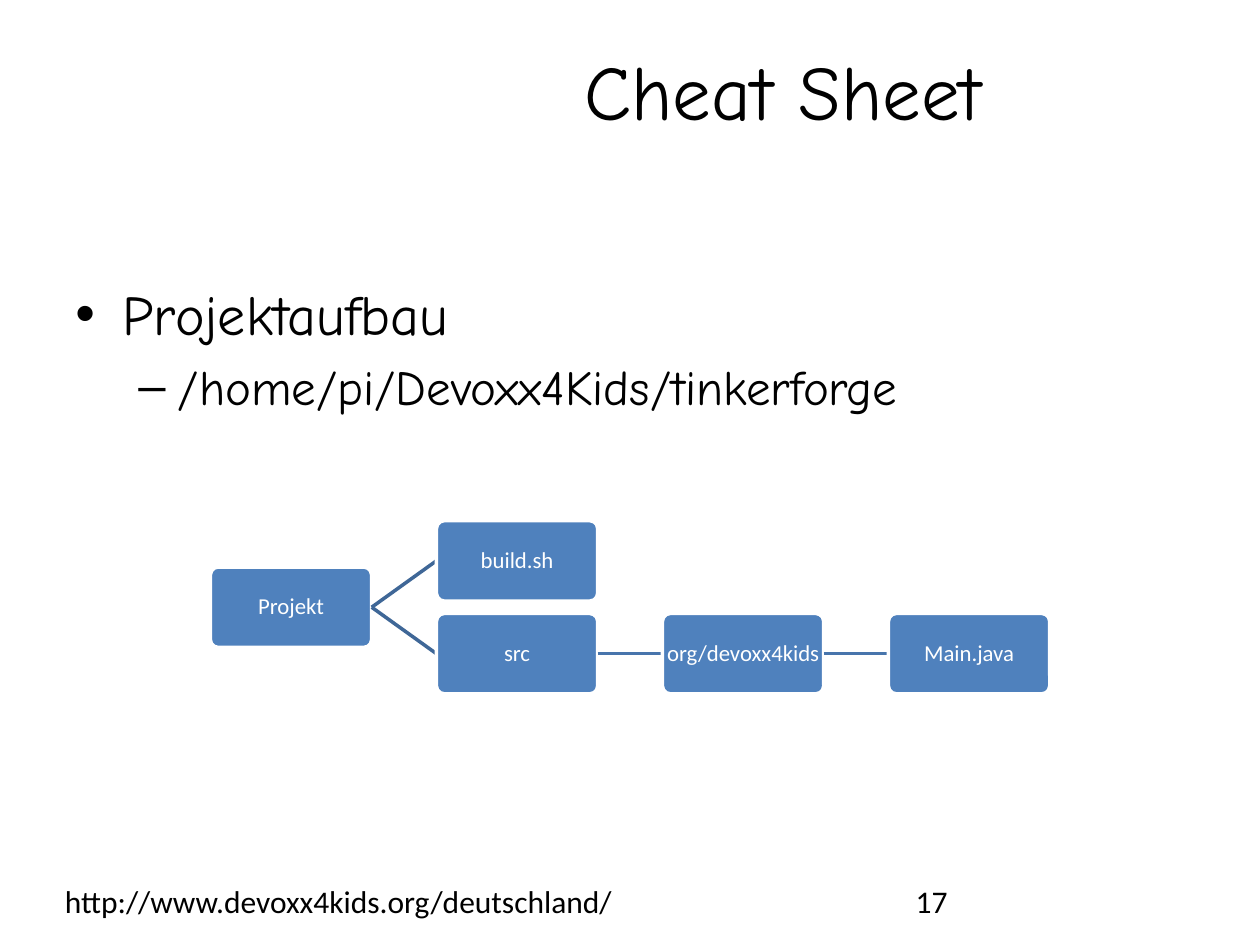
from typing import NamedTuple, Optional

from lxml import etree
from pptx import Presentation
from pptx.dml.color import RGBColor
from pptx.enum.shapes import MSO_CONNECTOR, MSO_SHAPE
from pptx.enum.text import MSO_ANCHOR, PP_ALIGN
from pptx.oxml.ns import qn
from pptx.util import Pt

STRAIGHT = MSO_CONNECTOR.STRAIGHT
ROUNDED = MSO_SHAPE.ROUNDED_RECTANGLE
MIDDLE = MSO_ANCHOR.MIDDLE
LEFT, CENTER = PP_ALIGN.LEFT, PP_ALIGN.CENTER

COLORS = {
    "text": "000000",
    "white": "FFFFFF",
    "node": "4F81BD",
    "branch": "3F6797",
    "chain": "4875AC",
}
HEADING_FONT, BASE_FONT = "Comic Neue", "Calibri"
TREE_LEFT, TREE_TOP = 120.2, 297.5
COLUMN_STEP, ROW_STEP = 129.15, 53
NODE_WIDTH, NODE_HEIGHT = 92.2, 46


class TextLine(NamedTuple):
    text: str
    left: float
    top: float
    width: float
    height: float
    size: float
    font: str
    align: PP_ALIGN


class Bullet(NamedTuple):
    text: str
    symbol: str
    size: float
    level: int
    margin: float
    hanging: float
    space_before: float


class Node(NamedTuple):
    label: str
    column: int
    row: float
    parent: Optional[int] = None

    @property
    def left(self) -> float:
        return TREE_LEFT + self.column * COLUMN_STEP

    @property
    def top(self) -> float:
        return TREE_TOP + self.row * ROW_STEP

    @property
    def middle(self) -> float:
        return self.top + NODE_HEIGHT / 2


TEXT_LINES = [
    TextLine("http://www.devoxx4kids.org/deutschland/", 16.5, 500.4, 354, 29, 18, BASE_FONT, CENTER),
    TextLine("Cheat Sheet", 211, 21.6, 473, 90, 44, HEADING_FONT, CENTER),
    TextLine("17", 516.2, 500.4, 168, 29, 18, BASE_FONT, LEFT),
]
BULLETS = [
    Bullet("Projektaufbau", "•", 32, 0, 27, 27, 0),
    Bullet("/home/pi/Devoxx4Kids/tinkerforge", "–", 28, 1, 58.5, 22.5, 5.6),
]
NODES = [
    Node("Projekt", 0, 0.5),
    Node("build.sh", 1, 0, 0),
    Node("src", 1, 1, 0),
    Node("org/devoxx4kids", 2, 1, 2),
    Node("Main.java", 3, 1, 3),
]


def rgb(name: str) -> RGBColor:
    """Return the named colour."""
    return RGBColor.from_string(COLORS[name])


def set_font(paragraph, name: str, size: float, color: str) -> None:
    """Set the typeface, size and colour of a paragraph."""
    paragraph.font.name = name
    paragraph.font.size = Pt(size)
    paragraph.font.color.rgb = rgb(color)


def add_text_frame(slide, left: float, top: float, width: float, height: float):
    """Add a wrapping text box and return its text frame."""
    frame = slide.shapes.add_textbox(Pt(left), Pt(top), Pt(width), Pt(height)).text_frame
    frame.word_wrap = True
    return frame


def add_text_line(slide, line: TextLine) -> None:
    """Add a single line of text."""
    frame = add_text_frame(slide, line.left, line.top, line.width, line.height)
    paragraph = frame.paragraphs[0]
    paragraph.text = line.text
    paragraph.alignment = line.align
    set_font(paragraph, line.font, line.size, "text")


def add_bullets(slide, bullets: list[Bullet]) -> None:
    """Add the bulleted outline."""
    frame = add_text_frame(slide, 36, 156, 648, 100)
    for index, bullet in enumerate(bullets):
        paragraph = frame.add_paragraph() if index else frame.paragraphs[0]
        paragraph.text = bullet.text
        paragraph.level = bullet.level
        paragraph.space_before = Pt(bullet.space_before)
        properties = paragraph._p.get_or_add_pPr()
        properties.set("marL", str(Pt(bullet.margin)))
        properties.set("indent", str(-Pt(bullet.hanging)))
        etree.SubElement(properties, qn("a:buFont")).set("typeface", "Arial")
        etree.SubElement(properties, qn("a:buChar")).set("char", bullet.symbol)
        set_font(paragraph, HEADING_FONT, bullet.size, "text")


def add_link(slide, parent: Node, child: Node) -> None:
    """Draw the line from a parent to its child."""
    link = slide.shapes.add_connector(
        STRAIGHT, Pt(parent.left + NODE_WIDTH), Pt(parent.middle), Pt(child.left), Pt(child.middle)
    )
    link.line.width = Pt(2)
    link.line.color.rgb = rgb("chain" if parent.row == child.row else "branch")
    etree.SubElement(link._element.spPr, qn("a:effectLst"))


def add_node(slide, node: Node) -> None:
    """Draw a labelled box of the project tree."""
    box = slide.shapes.add_shape(
        ROUNDED, Pt(node.left), Pt(node.top), Pt(NODE_WIDTH), Pt(NODE_HEIGHT)
    )
    box.adjustments[0] = 0.1
    box.shadow.inherit = False
    box.fill.solid()
    box.fill.fore_color.rgb = rgb("node")
    box.line.color.rgb = rgb("white")
    box.line.width = Pt(2)
    frame = box.text_frame
    frame.word_wrap = True
    frame.vertical_anchor = MIDDLE
    frame.margin_left = frame.margin_right = Pt(0.6)
    frame.margin_top = frame.margin_bottom = Pt(0.6)
    paragraph = frame.paragraphs[0]
    paragraph.text = node.label
    paragraph.alignment = CENTER
    paragraph.line_spacing = 0.9
    set_font(paragraph, BASE_FONT, 13, "white")


def main() -> None:
    """Build the slide and save it."""
    presentation = Presentation()
    presentation.slide_width, presentation.slide_height = Pt(720), Pt(540)
    slide = presentation.slides.add_slide(presentation.slide_layouts[6])
    for line in TEXT_LINES:
        add_text_line(slide, line)
    add_bullets(slide, BULLETS)
    for node in NODES:
        if node.parent is not None:
            add_link(slide, NODES[node.parent], node)
        add_node(slide, node)
    presentation.save("out.pptx")


if __name__ == "__main__":
    main()
